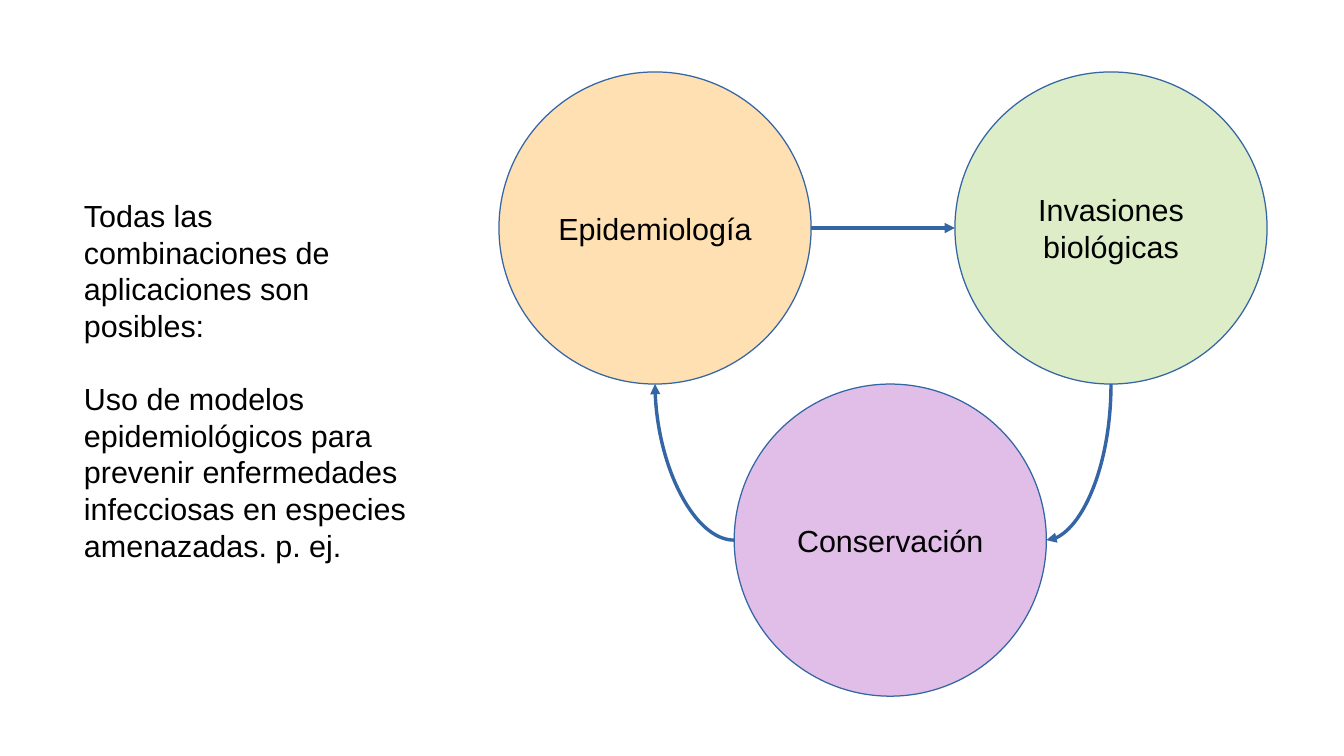
"""Build a slide showing how three fields of application feed each other."""
import pptx
import pptx.util
import pptx.dml.color
import pptx.enum.shapes
import pptx.enum.text
import pptx.oxml.ns
import lxml.etree

Pt = pptx.util.Pt
RGB = pptx.dml.color.RGBColor
KIND = pptx.enum.shapes.MSO_CONNECTOR
ALIGN = pptx.enum.text.PP_ALIGN
qn = pptx.oxml.ns.qn

BLACK = RGB(0x00, 0x00, 0x00)
BLUE = RGB(0x34, 0x65, 0xA4)
PEACH = RGB(0xFF, 0xE0, 0xB2)
GREEN = RGB(0xDC, 0xED, 0xC8)
LILAC = RGB(0xE1, 0xBE, 0xE7)

SIZE = 184.3
HALF = SIZE / 2
TOP = 42.5
LOW = TOP + SIZE
EPI, INV, CONS = 294.6, 563.8, 433.5


def style(par, align):
    par.alignment = align
    par.font.name = "Arial"
    par.font.size = Pt(18)
    par.font.color.rgb = BLACK


prs = pptx.Presentation()
prs.slide_width = Pt(793.5)
prs.slide_height = Pt(446.4)
slide = prs.slides.add_slide(prs.slide_layouts[6])

fields = [
    ("Epidemiología", EPI, TOP, PEACH),
    ("Invasiones biológicas", INV, TOP, GREEN),
    ("Conservación", CONS, LOW, LILAC),
]
for label, left, top, color in fields:
    disc = slide.shapes.add_shape(
        pptx.enum.shapes.MSO_SHAPE.OVAL, Pt(left), Pt(top), Pt(SIZE), Pt(SIZE))
    disc.shadow.inherit = False
    disc.fill.solid()
    disc.fill.fore_color.rgb = color
    disc.line.color.rgb = BLUE
    disc.line.width = Pt(0)
    frame = disc.text_frame
    frame.word_wrap = True
    frame.vertical_anchor = pptx.enum.text.MSO_ANCHOR.MIDDLE
    frame.text = label
    style(frame.paragraphs[0], ALIGN.CENTER)

links = [
    (KIND.CURVE, CONS, LOW + HALF, EPI + HALF, LOW, "a:tailEnd"),
    (KIND.STRAIGHT, EPI + SIZE, TOP + HALF, INV, TOP + HALF, "a:tailEnd"),
    (KIND.CURVE, CONS + SIZE, LOW + HALF, INV + HALF, LOW, "a:headEnd"),
]
for kind, x1, y1, x2, y2, tip in links:
    link = slide.shapes.add_connector(kind, Pt(x1), Pt(y1), Pt(x2), Pt(y2))
    link.line.color.rgb = BLUE
    link.line.width = Pt(0)
    props = link._element.spPr
    if kind == KIND.CURVE:
        props.find(qn("a:prstGeom")).set("prst", "curvedConnector2")
    lxml.etree.SubElement(props.find(qn("a:ln")), qn(tip), type="triangle")
    lxml.etree.SubElement(props, qn("a:effectLst"))

note = slide.shapes.add_textbox(Pt(42.5), Pt(113), Pt(212.4), Pt(208.8))
frame = note.text_frame
frame.word_wrap = True
frame.text = (
    "Todas las combinaciones de aplicaciones son posibles:\n"
    "Uso de modelos epidemiológicos para prevenir enfermedades "
    "infecciosas en especies amenazadas. p. ej.")
for par in frame.paragraphs:
    style(par, ALIGN.LEFT)
frame.paragraphs[1].space_before = Pt(21.6)

prs.save("out.pptx")
